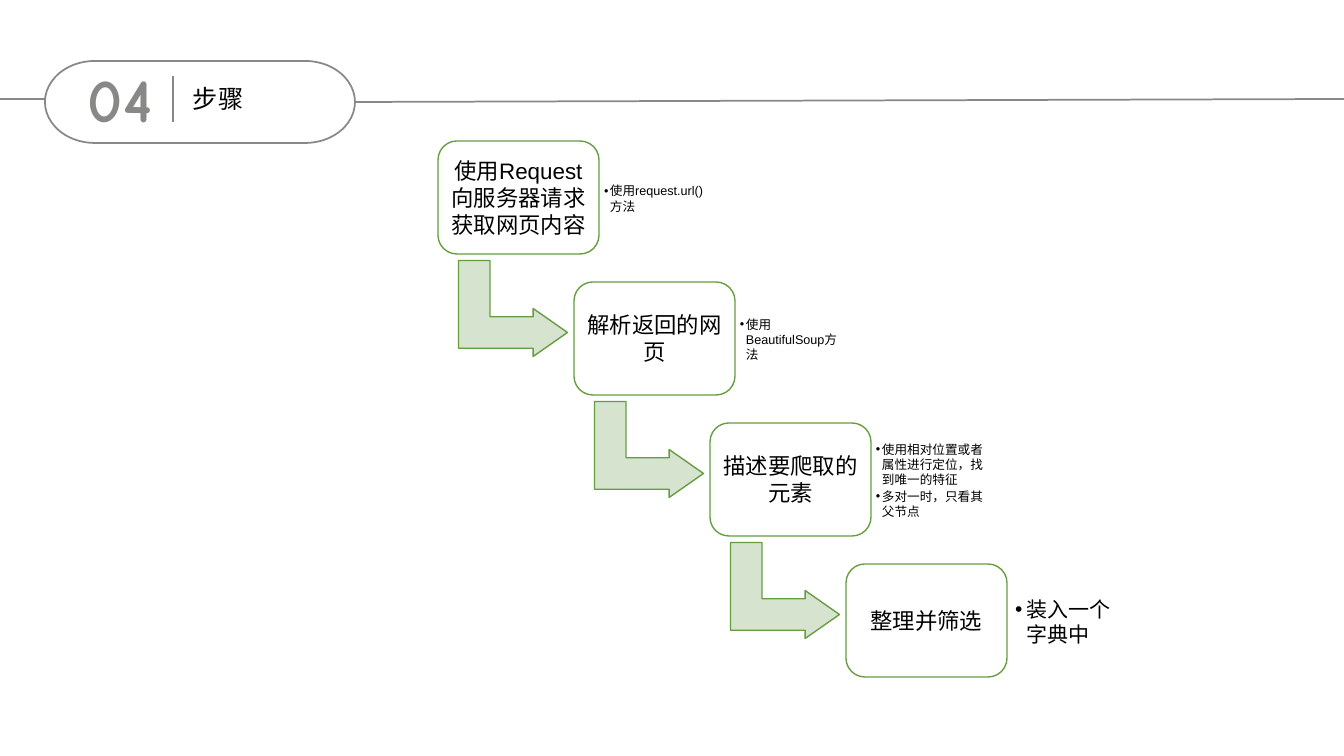
from lxml.etree import SubElement
from pptx import Presentation
from pptx.dml.color import RGBColor
from pptx.enum.shapes import MSO_CONNECTOR, MSO_SHAPE as SHAPE
from pptx.enum.text import MSO_ANCHOR as ANCHOR, MSO_AUTO_SIZE, PP_ALIGN as ALIGN
from pptx.oxml.ns import qn
from pptx.util import Emu, Pt

COLORS = {"gray": "888886", "green": "669D40", "pale": "D5E3CF", "white": "FFFFFF", "black": "000000"}


def px(*lengths):
    """Turn pixels (100.8 to the inch) into a list of EMU lengths."""
    return [Emu(round(length * 914400 / 100.8)) for length in lengths]


def write(shape, paragraphs, size, color="black", font="Arial", bold=False, align=ALIGN.LEFT,
          anchor=ANCHOR.MIDDLE, insets=(10, 5), hanging=0, after=0, wrap=True):
    """Fill a shape with text; a hanging indent in px also turns on bullets."""
    frame = shape.text_frame
    frame.text = "\n".join(paragraphs)
    frame.auto_size = MSO_AUTO_SIZE.NONE
    frame.word_wrap = wrap
    frame.vertical_anchor = anchor
    frame.margin_left, frame.margin_top = frame.margin_right, frame.margin_bottom = px(*insets)
    for para in frame.paragraphs:
        para.alignment = align
        para.line_spacing = 1.0
        para.space_before, para.space_after = Pt(0), Pt(after)
        span_font = para.runs[0].font
        span_font.name, span_font.size, span_font.bold = font, Pt(size), bold
        span_font.color.rgb = RGBColor.from_string(COLORS[color])
        if hanging:
            properties = para._p.get_or_add_pPr()
            indent, = px(hanging)
            properties.set("marL", str(indent))
            properties.set("indent", str(-indent))
            SubElement(properties, qn("a:buChar"), char="•")


deck = Presentation()
deck.slide_width, deck.slide_height = px(1344, 756)
# The comparison layout has a title and four body placeholders
page = deck.slides.add_slide(deck.slide_layouts[4])
shapes = page.shapes
title, *lists = page.placeholders

# Header
badge = shapes.add_shape(SHAPE.FLOWCHART_TERMINATOR, *px(45, 61, 310, 82))
badge.shadow.inherit = False
badge.fill.background()
badge.line.color.rgb = RGBColor.from_string(COLORS["gray"])
badge.line.width = Pt(1.25)

rules = []
for ends in [(355, 102, 1344, 99), (0, 99, 45, 99), (173, 122, 173, 76)]:
    rule = shapes.add_connector(MSO_CONNECTOR.STRAIGHT, *px(*ends))
    rule.line.color.rgb = RGBColor.from_string(COLORS["gray"])
    rule.line.width = Pt(1.25)
    SubElement(rule._element.spPr, qn("a:effectLst"))
    rules.append(rule)
rules[0].begin_connect(badge, 3)

number = shapes.add_textbox(*px(78, 56, 99, 85))
write(number, ["04"], 44, color="gray", font="Comic Neue", bold=True, anchor=ANCHOR.TOP, wrap=False)

title.left, title.top, title.width, title.height = px(183, 78, 107, 40)
write(title, ["步骤"], 18, anchor=ANCHOR.TOP)

# Staircase of steps
STEP_X, STEP_Y = 136, 141
small = {"size": 9, "hanging": 6, "insets": (5, 5)}
large = {"size": 15, "hanging": 12, "insets": (8, 8)}
steps = [
    ("使用Request向服务器请求获取网页内容", ["使用request.url()方法"], small),
    ("解析返回的网页", ["使用BeautifulSoup方法"], small),
    ("描述要爬取的元素", ["使用相对位置或者属性进行定位，找到唯一的特征", "多对一时，只看其父节点"], small),
    ("整理并筛选", ["装入一个字典中"], large),
]
for index, ((heading, details, style), details_box) in enumerate(zip(steps, lists)):
    left, top = 438 + index * STEP_X, 141 + index * STEP_Y
    box = shapes.add_shape(SHAPE.ROUNDED_RECTANGLE, *px(left, top, 161, 113))
    outlines = [(box, "white")]
    if index < len(steps) - 1:
        arrow = shapes.add_shape(SHAPE.BENT_UP_ARROW, *px(left + 27, top + 113, 96, 109))
        arrow.rotation = 90
        for number_of_handle, value in enumerate((0.328, 0.25, 0.358)):
            arrow.adjustments[number_of_handle] = value
        outlines.append((arrow, "pale"))
    for shape, fill in outlines:
        shape.shadow.inherit = False
        shape.fill.solid()
        shape.fill.fore_color.rgb = RGBColor.from_string(COLORS[fill])
        shape.line.color.rgb = RGBColor.from_string(COLORS["green"])
        shape.line.width = Pt(1)
    write(box, [heading], 16, align=ALIGN.CENTER, insets=(2, 2))

    details_box.left, details_box.top, details_box.width, details_box.height = px(left + 161, top + 12, 117, 91)
    write(details_box, details, after=1, **style)

deck.save("out.pptx")
